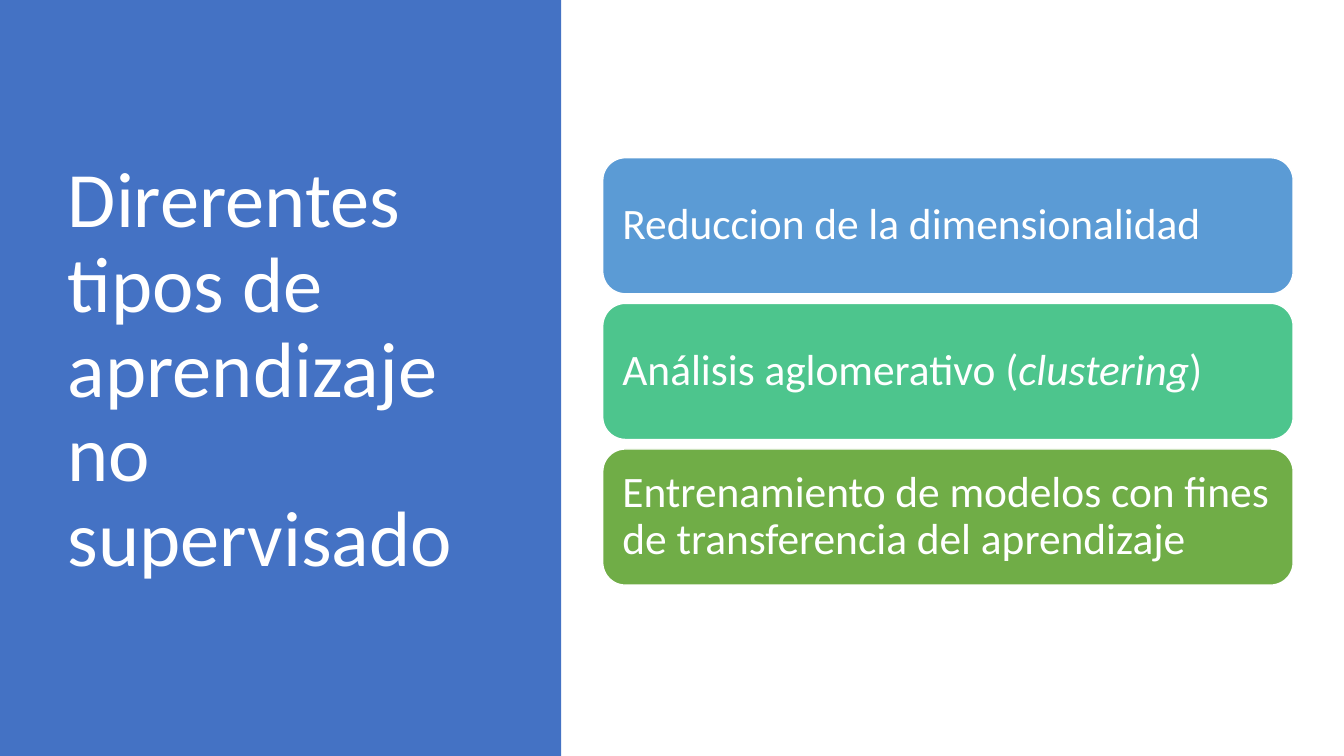
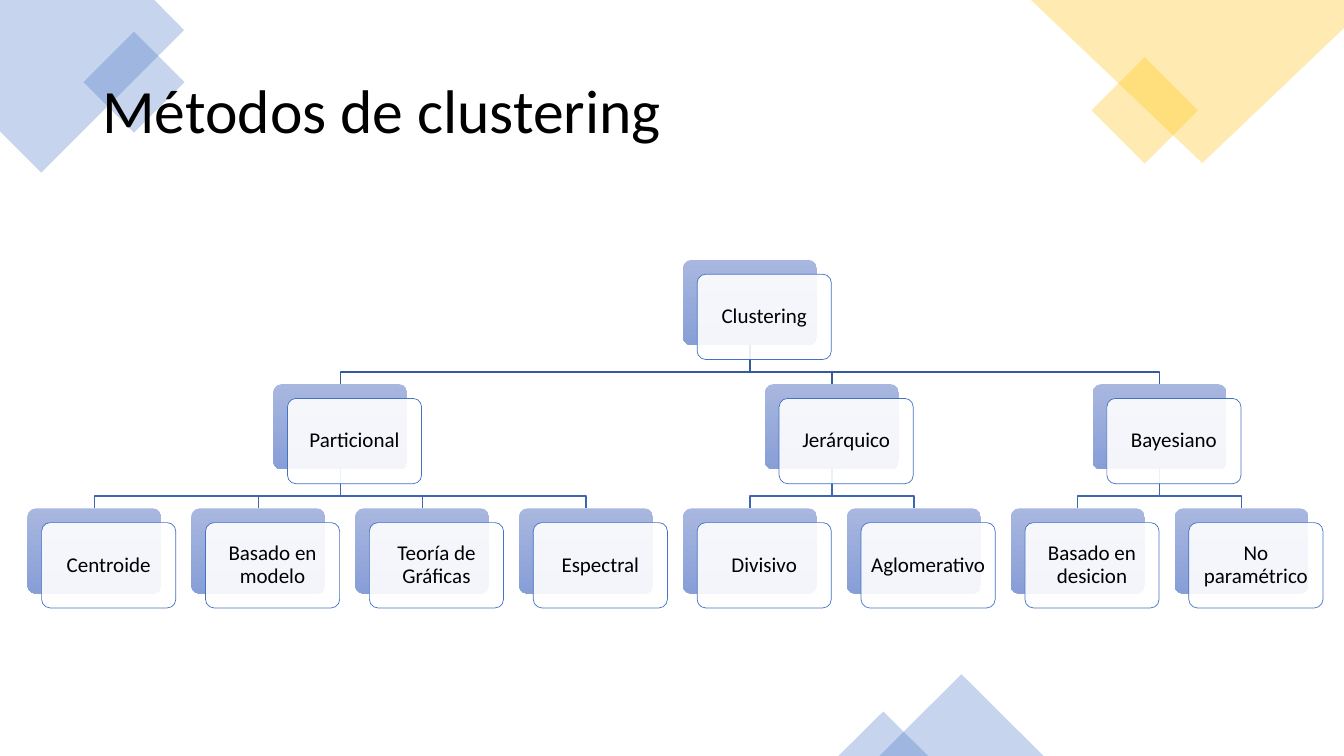
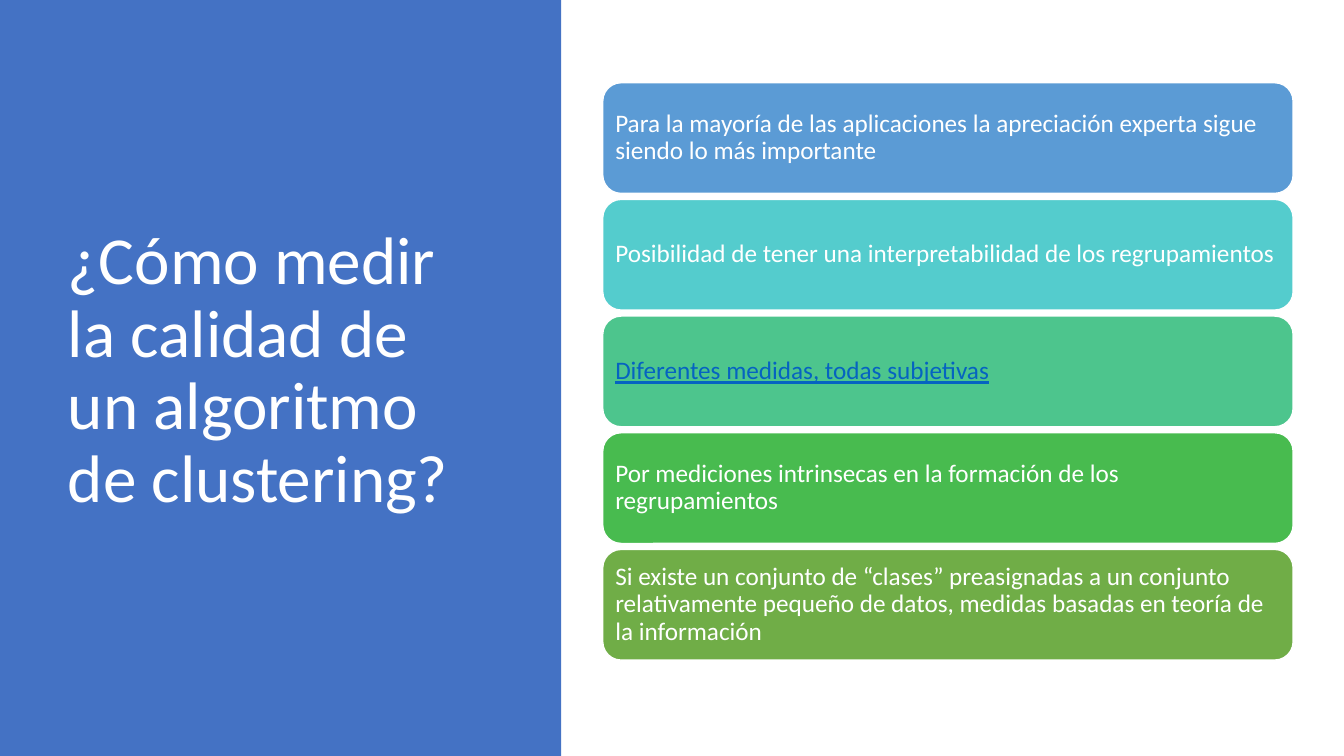
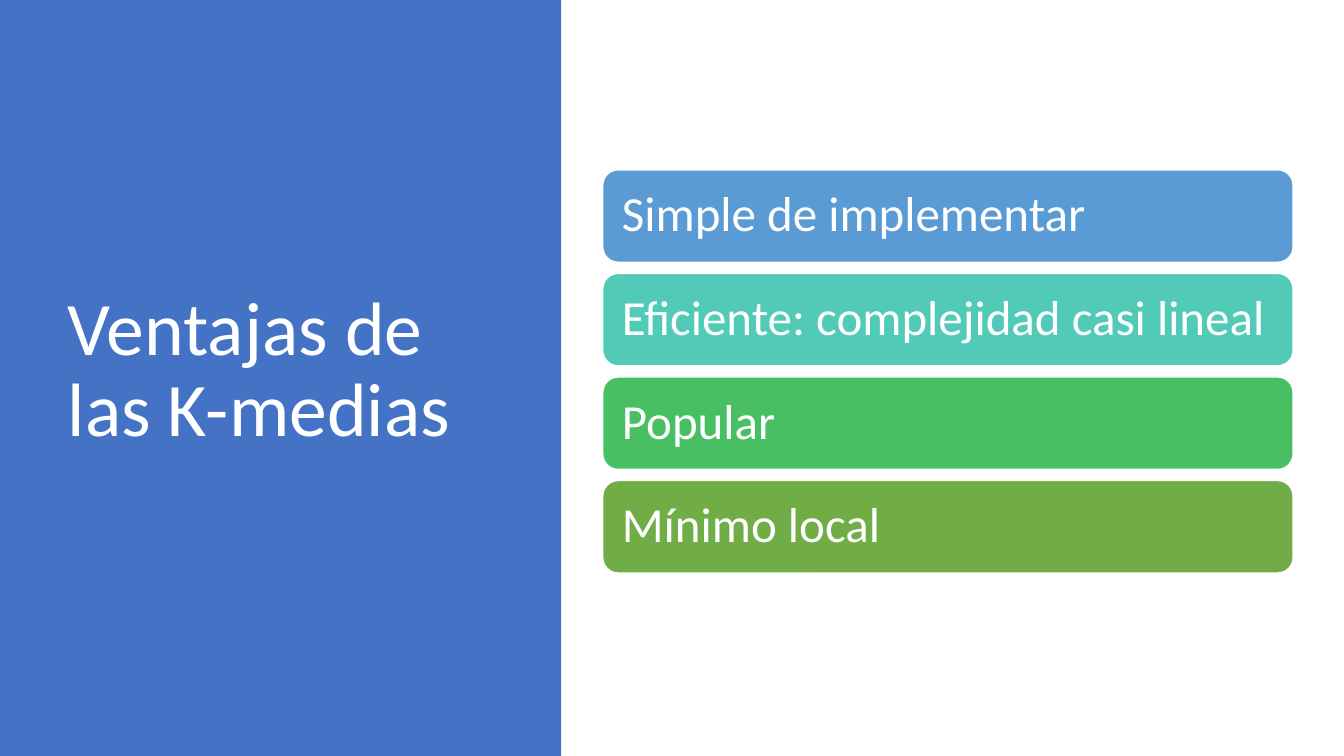
"""Build four slides on unsupervised learning and clustering."""
from dataclasses import dataclass
from itertools import count
from typing import Iterator

from lxml import etree
from pptx import Presentation
from pptx.dml.color import RGBColor
from pptx.enum.shapes import MSO_SHAPE
from pptx.enum.text import MSO_ANCHOR, PP_ALIGN
from pptx.oxml.ns import qn
from pptx.shapes.autoshape import Shape
from pptx.shapes.base import BaseShape
from pptx.slide import Slide
from pptx.util import Cm, Length, Pt

RECTANGLE = MSO_SHAPE.RECTANGLE
ROUNDED = MSO_SHAPE.ROUNDED_RECTANGLE
TRIANGLE = MSO_SHAPE.ISOSCELES_TRIANGLE
MIDDLE = MSO_ANCHOR.MIDDLE
LEFT, CENTER = PP_ALIGN.LEFT, PP_ALIGN.CENTER

FONT = "Calibri"
COLORS = {
    "blue": "4472C4",
    "gold": "FFC000",
    "white": "FFFFFF",
    "black": "000000",
    "link": "0563C1",
    "sky": "5B9BD5",
    "cyan": "54CCCD",
    "turquoise": "52CAB8",
    "mint": "4DC58D",
    "emerald": "49BF64",
    "grass": "48BB4F",
    "olive": "70AD47",
    "node_top": "A8B7DF",
    "node_bottom": "889ED7",
    "branch_1": "365B9D",
    "branch_2": "3E67B2",
}

SLIDE_WIDTH, SLIDE_HEIGHT = Cm(33.87), Cm(19.05)
PANEL_WIDTH = Cm(14.14)
CARD_LEFT, CARD_WIDTH, CARDS_MIDDLE = Cm(15.19), Cm(17.4), Cm(9.36)
DECOR_OPACITY, NODE_OPACITY = 30, 90

TREE_LEFT, TREE_TOP = Cm(0.69), Cm(6.55)
COLUMN_STEP, LEVEL_STEP = Cm(4.13), Cm(3.13)
NODE_WIDTH, NODE_HEIGHT, NODE_SHIFT = Cm(3.38), Cm(2.15), Cm(0.36)
TRUNK = Cm(0.67)


@dataclass(frozen=True)
class Box:
    """Position and size of one element."""
    left: Length
    top: Length
    width: Length
    height: Length


@dataclass(frozen=True)
class Run:
    """A piece of text, upright or italic."""
    text: str
    italic: bool = False


@dataclass(frozen=True)
class Card:
    """One coloured statement beside the panel."""
    runs: tuple[Run, ...]
    fill: str
    linked: bool = False


@dataclass(frozen=True)
class CardSlide:
    """A panel title with its stack of cards."""
    title: str
    title_size: int
    text_size: int
    card_height: Length
    gap: Length
    margin: Length
    cards: tuple[Card, ...]


@dataclass
class Node:
    """A clustering method and the methods below it."""
    label: str
    children: tuple["Node", ...] = ()
    column: float = 0
    level: int = 0


@dataclass(frozen=True)
class Decor:
    """A translucent preset shape of the background."""
    preset: MSO_SHAPE
    box: Box
    fill: str
    rotation: int = 0


TITLE_BOX = Box(Cm(1.46), Cm(1.72), Cm(10.57), Cm(15.29))
TREE_TITLE_BOX = Box(Cm(2.33), Cm(1.01), Cm(29.21), Cm(3.68))

TYPES = CardSlide(
    "Direrentes tipos de aprendizaje no supervisado", 56, 31,
    Cm(3.43), Cm(0.24), Cm(0.33),
    (
        Card((Run("Reduccion de la dimensionalidad"),), "sky"),
        Card((Run("Análisis aglomerativo ("), Run("clustering", True), Run(")")), "mint"),
        Card((Run("Entrenamiento de modelos con fines de transferencia del aprendizaje"),), "olive"),
    ),
)
QUALITY = CardSlide(
    "¿Cómo medir la calidad de un algoritmo de clustering?", 48, 18,
    Cm(2.79), Cm(0.15), Cm(0.18),
    (
        Card((Run("Para la mayoría de las aplicaciones la apreciación experta sigue "
                  "siendo lo más importante"),), "sky"),
        Card((Run("Posibilidad de tener una interpretabilidad de los regrupamientos"),), "cyan"),
        Card((Run("Diferentes medidas, todas subjetivas"),), "mint", linked=True),
        Card((Run("Por mediciones intrinsecas en la formación de los regrupamientos"),), "grass"),
        Card((Run("Si existe un conjunto de “clases” preasignadas a un conjunto relativamente "
                  "pequeño de datos, medidas basadas en teoría de la información"),), "olive"),
    ),
)
ADVANTAGES = CardSlide(
    "Ventajas de las K-medias", 54, 35,
    Cm(2.33), Cm(0.28), Cm(0.37),
    (
        Card((Run("Simple de implementar"),), "sky"),
        Card((Run("Eficiente: complejidad casi lineal"),), "turquoise"),
        Card((Run("Popular"),), "emerald"),
        Card((Run("Mínimo local"),), "olive"),
    ),
)
METHODS = Node("Clustering", (
    Node("Particional", (
        Node("Centroide"), Node("Basado en modelo"),
        Node("Teoría de Gráficas"), Node("Espectral"),
    )),
    Node("Jerárquico", (Node("Divisivo"), Node("Aglomerativo"))),
    Node("Bayesiano", (Node("Basado en desicion"), Node("No paramétrico"))),
))
CORNERS = (
    ("blue", ((0, 0), (3.89, 0), (4.64, 0.76), (1.04, 4.35), (0, 3.31))),
    ("gold", ((33.87, 0), (25.98, 0), (30.3, 4.11), (33.87, 0.71))),
)
DECORS = (
    Decor(RECTANGLE, Box(Cm(2.48), Cm(1.17), Cm(1.8), Cm(1.8)), "blue", 315),
    Decor(RECTANGLE, Box(Cm(27.9), Cm(1.83), Cm(1.9), Cm(1.9)), "gold", 315),
    Decor(TRIANGLE, Box(Cm(22.16), Cm(16.99), Cm(4.14), Cm(2.06)), "blue"),
    Decor(TRIANGLE, Box(Cm(21.13), Cm(17.93), Cm(2.26), Cm(1.12)), "blue"),
)


def rgb(name: str) -> RGBColor:
    """Return the palette colour of that name."""
    return RGBColor.from_string(COLORS[name])


def paint(shape: Shape, fill: str, opacity: int = 100) -> None:
    """Give a shape a solid fill, without line or shadow."""
    shape.shadow.inherit = False
    shape.line.fill.background()
    shape.fill.solid()
    shape.fill.fore_color.rgb = rgb(fill)
    if opacity < 100:
        color = shape.element.spPr.find(f"{qn('a:solidFill')}/{qn('a:srgbClr')}")
        etree.SubElement(color, qn("a:alpha"), val=str(opacity * 1000))


def outline(shape: Shape, color: str, width: float) -> None:
    """Give a shape a solid line."""
    shape.line.color.rgb = rgb(color)
    shape.line.width = Pt(width)


def add_preset(slide: Slide, preset: MSO_SHAPE, box: Box) -> Shape:
    """Add a preset shape in a box."""
    return slide.shapes.add_shape(preset, box.left, box.top, box.width, box.height)


def add_outline(slide: Slide, points: list[tuple[int, int]], close: bool) -> Shape:
    """Add a freeform through the points."""
    start, *others = points
    builder = slide.shapes.build_freeform(*start)
    builder.add_line_segments(others, close=close)
    return builder.convert_to_shape()


def write(shape: BaseShape, runs: tuple[Run, ...], size: int, color: str,
          align: PP_ALIGN = LEFT, margin: Length | None = None,
          underline: bool = False) -> None:
    """Write one vertically centred paragraph into a shape."""
    frame = shape.text_frame
    frame.word_wrap = True
    frame.vertical_anchor = MIDDLE
    if margin is not None:
        frame.margin_left = frame.margin_right = margin
        frame.margin_top = frame.margin_bottom = margin
    paragraph = frame.paragraphs[0]
    paragraph.alignment = align
    paragraph.line_spacing = 0.9
    font = paragraph.font
    font.name, font.size = FONT, Pt(size)
    font.color.rgb = rgb(color)
    if underline:
        font.underline = True
    for piece in runs:
        run = paragraph.add_run()
        run.text = piece.text
        if piece.italic:
            run.font.italic = True


def add_title(slide: Slide, box: Box, title: str, size: int, color: str) -> None:
    """Add the slide title."""
    title_box = slide.shapes.add_textbox(box.left, box.top, box.width, box.height)
    write(title_box, (Run(title),), size, color)


def draw_cards(slide: Slide, content: CardSlide) -> None:
    """Draw the title panel and the centred stack of cards."""
    panel = add_preset(slide, RECTANGLE, Box(Cm(0), Cm(0), PANEL_WIDTH, SLIDE_HEIGHT))
    paint(panel, "blue")
    add_title(slide, TITLE_BOX, content.title, content.title_size, "white")
    step = content.card_height + content.gap
    top = CARDS_MIDDLE - (len(content.cards) * step - content.gap) // 2
    for index, card in enumerate(content.cards):
        box = Box(CARD_LEFT, Length(top + index * step), CARD_WIDTH, content.card_height)
        statement = add_preset(slide, ROUNDED, box)
        paint(statement, card.fill)
        outline(statement, "white", 1)
        write(statement, card.runs, content.text_size, "link" if card.linked else "white",
              margin=content.margin, underline=card.linked)


def draw_decor(slide: Slide) -> None:
    """Draw the translucent shapes around the slide edges."""
    for fill, points in CORNERS:
        corner = add_outline(slide, [(Cm(x), Cm(y)) for x, y in points], close=True)
        paint(corner, fill, DECOR_OPACITY)
    for decor in DECORS:
        shape = add_preset(slide, decor.preset, decor.box)
        shape.rotation = decor.rotation
        paint(shape, decor.fill, DECOR_OPACITY)


def place(node: Node, columns: Iterator[int], level: int = 0) -> list[Node]:
    """Centre each node over its children and list the whole tree."""
    node.level = level
    below = [item for child in node.children for item in place(child, columns, level + 1)]
    if node.children:
        node.column = (node.children[0].column + node.children[-1].column) / 2
    else:
        node.column = next(columns)
    return [node, *below]


def node_box(node: Node, shift: int = 0) -> Box:
    """Return the box of a node, moved right and down by the shift."""
    left = TREE_LEFT + round(node.column * COLUMN_STEP) + shift
    top = TREE_TOP + node.level * LEVEL_STEP + shift
    return Box(Length(left), Length(top), NODE_WIDTH, NODE_HEIGHT)


def draw_branch(slide: Slide, parent: Node, child: Node) -> None:
    """Draw the bent line from a node down to one of its children."""
    start, end = node_box(parent), node_box(child)
    start_x, end_x = start.left + NODE_WIDTH // 2, end.left + NODE_WIDTH // 2
    bottom = start.top + NODE_HEIGHT
    bend = bottom + TRUNK
    points = [(start_x, bottom), (start_x, bend), (end_x, bend), (end_x, end.top)]
    branch = add_outline(slide, points, close=False)
    branch.shadow.inherit = False
    branch.fill.background()
    outline(branch, f"branch_{child.level}", 1)


def draw_node(slide: Slide, node: Node) -> None:
    """Draw the shaded card of a node and the labelled card over it."""
    back = add_preset(slide, ROUNDED, node_box(node))
    back.adjustments[0] = 0.1
    paint(back, "node_top")
    back.fill.gradient()
    back.fill.gradient_angle = 270
    for stop, color in zip(back.fill.gradient_stops, ("node_top", "node_bottom")):
        stop.color.rgb = rgb(color)
    front = add_preset(slide, ROUNDED, node_box(node, NODE_SHIFT))
    front.adjustments[0] = 0.1
    paint(front, "white", NODE_OPACITY)
    outline(front, "blue", 0.5)
    write(front, (Run(node.label),), 15, "black", CENTER, Cm(0.15))


def draw_tree(slide: Slide) -> None:
    """Draw the tree of clustering methods."""
    draw_decor(slide)
    add_title(slide, TREE_TITLE_BOX, "Métodos de clustering", 44, "black")
    nodes = place(METHODS, count())
    for node in nodes:
        for child in node.children:
            draw_branch(slide, node, child)
    for node in nodes:
        draw_node(slide, node)


def main() -> None:
    """Build and save the presentation."""
    deck = Presentation()
    deck.slide_width, deck.slide_height = SLIDE_WIDTH, SLIDE_HEIGHT
    blank = deck.slide_layouts[6]
    draw_cards(deck.slides.add_slide(blank), TYPES)
    draw_tree(deck.slides.add_slide(blank))
    for content in (QUALITY, ADVANTAGES):
        draw_cards(deck.slides.add_slide(blank), content)
    deck.save("out.pptx")


if __name__ == "__main__":
    main()
